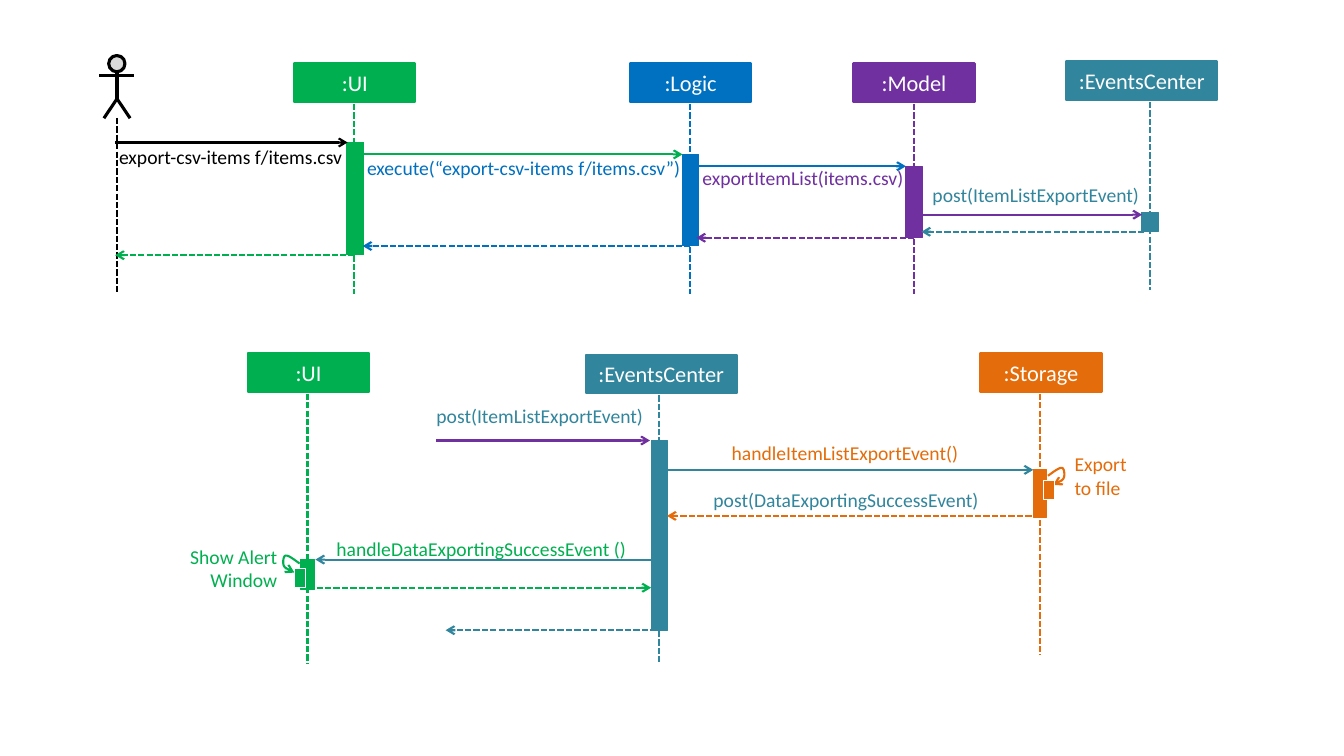
from pptx import Presentation
from pptx.dml.color import RGBColor
from pptx.enum.dml import MSO_LINE as Dash
from pptx.enum.shapes import MSO_CONNECTOR as Link, MSO_SHAPE as Form
from pptx.enum.text import MSO_ANCHOR as Anchor, PP_ALIGN as Align
from pptx.oxml.ns import qn
from pptx.util import Cm, Pt
from lxml.etree import SubElement as Sub

BLACK = RGBColor(0, 0, 0)
WHITE = RGBColor(255, 255, 255)
GREY = RGBColor(0xD9, 0xD9, 0xD9)
GREEN = RGBColor(0x00, 0xB0, 0x50)
BLUE = RGBColor(0x00, 0x70, 0xC0)
PURPLE = RGBColor(0x70, 0x30, 0xA0)
TEAL = RGBColor(0x31, 0x85, 0x9C)
ORANGE = RGBColor(0xE4, 0x6C, 0x0A)
HEAD = 0.97
BAR = 0.41

deck = Presentation()
deck.slide_width, deck.slide_height = Cm(33.87), Cm(19.05)
slide = deck.slides.add_slide(deck.slide_layouts[6])
shapes = slide.shapes


def write(para, text, size, color):
    run = para.add_run()
    run.text = text
    run.font.name = "Calibri"
    run.font.size = Pt(size)
    run.font.color.rgb = color


def arrow(shape):
    edge = shape.element.spPr.find(qn("a:ln"))
    Sub(edge, qn("a:tailEnd"), type="arrow")


def block(x, y, wide, high, fill, edge, weight, form=Form.RECTANGLE):
    shape = shapes.add_shape(form, Cm(x), Cm(y), Cm(wide), Cm(high))
    shape.shadow.inherit = False
    shape.fill.solid()
    shape.fill.fore_color.rgb = fill
    shape.line.color.rgb = edge
    shape.line.width = Pt(weight)
    return shape


def line(x, y, to_x, to_y, color, weight=1.5, dash=False, tip=False):
    link = shapes.add_connector(Link.STRAIGHT, Cm(x), Cm(y), Cm(to_x), Cm(to_y))
    link.line.color.rgb = color
    link.line.width = Pt(weight)
    if dash:
        link.line.dash_style = Dash.SQUARE_DOT
    if tip:
        arrow(link)
    Sub(link.element.spPr, qn("a:effectLst"))


def trace(points, color, weight):
    spots = [(Cm(x), Cm(y)) for x, y in points]
    pen = shapes.build_freeform(*spots[0])
    pen.add_line_segments(spots[1:], close=False)
    shape = pen.convert_to_shape()
    shape.shadow.inherit = False
    shape.fill.background()
    shape.line.color.rgb = color
    shape.line.width = Pt(weight)
    return shape


def label(x, y, wide, lines, color, align=Align.LEFT, high=0.6):
    frame = shapes.add_textbox(Cm(x), Cm(y), Cm(wide), Cm(high)).text_frame
    frame.word_wrap = True
    frame.margin_left = frame.margin_right = 0
    frame.margin_top = frame.margin_bottom = 0
    para = frame.paragraphs[0]
    para.alignment = align
    for i, text in enumerate(lines.split("\n")):
        if i:
            para.add_line_break()
        write(para, text, 14, color)


def actor(x, y):
    mid = x + 0.45
    block(x + 0.24, y, BAR, BAR, GREY, BLACK, 2.25, Form.FLOWCHART_CONNECTOR)
    line(mid, y + 0.41, mid, y + 1.09, BLACK, 2.25)
    line(x, y + 0.5, x + 0.88, y + 0.5, BLACK, 2.25)
    legs = [(mid - 0.33, y + 1.58), (mid, y + 1.09), (mid + 0.33, y + 1.58)]
    trace(legs, BLACK, 2.25)
    line(mid, y + 1.57, mid, y + 6.02, BLACK, dash=True)


def role(x, y, name, color, wide, stem, end, bar):
    left, top, width, high = bar
    head = block(x, y, wide, HEAD, color, color, 1.5)
    frame = head.text_frame
    frame.word_wrap = False
    frame.vertical_anchor = Anchor.MIDDLE
    frame.paragraphs[0].alignment = Align.CENTER
    write(frame.paragraphs[0], name, 16, WHITE)
    line(stem, y + HEAD + 0.05, stem, end, color, dash=True)
    block(left, top, width, high, color, color, 0.75)


def chart(box, roles, calls, notes):
    x, y = box
    for left, top, name, color, wide, stem, end, bar in roles:
        spot = (x + bar[0], y + bar[1], bar[2], bar[3])
        role(x + left, y + top, name, color, wide, x + stem, y + end, spot)
    for start, end, level, color, dash in calls:
        line(x + start, y + level, x + end, y + level, color, dash=dash, tip=True)
    for left, top, wide, text, color in notes:
        label(x + left, y + top, wide, text, color)


def curve(a, b, c, d, steps=8):
    for i in range(1, steps + 1):
        t = i / steps
        s = 1 - t
        yield tuple(s**3 * p + 3 * s * s * t * q + 3 * s * t * t * r + t**3 * e
                    for p, q, r, e in zip(a, b, c, d))


def loop(x, y, side, color):
    knots = [(0, 0), (0.11, -0.05), (0.24, -0.1), (0.27, -0.18),
             (0.3, -0.25), (0.28, -0.43), (0.22, -0.43),
             (0.15, -0.44), (0.01, -0.33), (-0.13, -0.23)]
    knots = [(x + side * dx, y + dy) for dx, dy in knots]
    points = [knots[0]]
    for i in range(0, 9, 3):
        points += curve(*knots[i:i + 4])
    arrow(trace(points[::-1], color, 1.5))
    block(x if side < 0 else x - 0.25, y - 0.1, 0.28, 0.48, color, WHITE, 0.75)


def request(x, y):
    actor(x, y)
    chart((x, y), [
        (4.92, 0.2, ":UI", GREEN, 3.05, 6.42, 6, (6.24, 2.18, 0.43, 2.84)),
        (13.38, 0.2, ":Logic", BLUE, 3.05, 14.9, 6, (14.7, 2.49, BAR, 2.31)),
        (19.01, 0.2, ":Model", PURPLE, 3.05, 20.54, 6, (20.33, 2.79, BAR, 1.8)),
        (24.37, 0.15, ":EventsCenter", TEAL, 3.81, 26.48, 5.92, (26.28, 3.96, BAR, 0.48)),
    ], [
        (0.4, 6.26, 2.19, BLACK, False),
        (6.64, 14.7, 2.49, GREEN, False),
        (15.05, 20.33, 2.79, BLUE, False),
        (20.69, 26.28, 4.01, PURPLE, False),
        (26.33, 20.72, 4.44, TEAL, True),
        (20.54, 15.05, 4.59, PURPLE, True),
        (14.9, 6.64, 4.8, BLUE, True),
        (6.44, 0.4, 5.03, GREEN, True),
    ], [
        (0.5, 2.26, 5.84, "export-csv-items f/items.csv", BLACK),
        (6.75, 2.54, 8.15, "execute(“export-csv-items f/items.csv”)", BLUE),
        (15.2, 2.79, 5.16, "exportItemList(items.csv)", PURPLE),
        (21, 3.2, 6.78, "post(ItemListExportEvent)", TEAL),
    ])


def event(x, y):
    chart((x, y), [
        (1.95, 0, ":UI", GREEN, 3.05, 3.45, 7.81, (3.27, 5.2, 0.36, 0.76)),
        (10.46, 0.04, ":EventsCenter", TEAL, 3.81, 12.31, 7.81, (12.11, 2.2, BAR, 4.78)),
        (20.41, 0, ":Storage", ORANGE, 3.05, 21.91, 7.61, (21.74, 2.94, 0.33, 1.19)),
    ], [
        (6.7, 12.08, 2.2, PURPLE, False),
        (12.51, 21.74, 2.94, TEAL, False),
        (21.91, 12.51, 4.1, ORANGE, True),
        (12.16, 3.65, 5.2, TEAL, False),
        (3.68, 12.11, 5.91, GREEN, True),
        (12.24, 6.93, 6.98, TEAL, True),
    ], [
        (6.7, 1.29, 5.79, "post(ItemListExportEvent)", TEAL),
        (14.14, 2.2, 5.82, "handleItemListExportEvent()", ORANGE),
        (13.68, 3.39, 7.39, "post(DataExportingSuccessEvent)", TEAL),
        (4.18, 4.64, 7.39, "handleDataExportingSuccessEvent ()", GREEN),
    ])
    loop(x + 3.12, y + 5.53, -1, GREEN)
    label(x + 0.02, y + 4.82, 2.67, "Show Alert Window", GREEN, Align.RIGHT, 1.19)
    loop(x + 22.24, y + 3.32, 1, ORANGE)
    label(x + 22.78, y + 2.5, 1.5, "Export\nto file", ORANGE, high=1.19)


request(2.5, 1.4)
event(4.3, 8.9)
deck.save("out.pptx")
